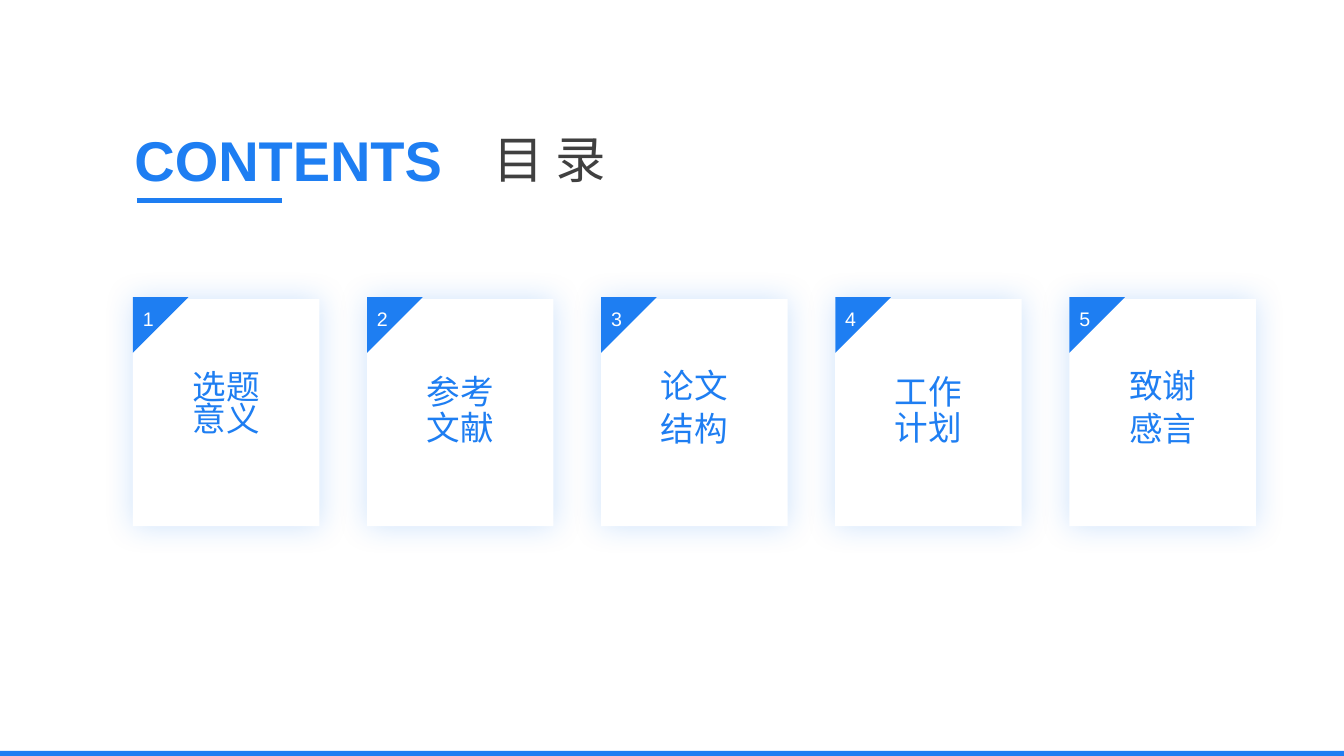
from lxml import etree
from pptx import Presentation
from pptx.dml.color import RGBColor
from pptx.enum.shapes import MSO_CONNECTOR, MSO_SHAPE
from pptx.enum.text import MSO_ANCHOR, PP_ALIGN
from pptx.oxml.ns import qn
from pptx.util import Cm, Pt

COLORS = {"blue": "1E7EF2", "white": "FFFFFF", "gray": "404040"}

# Label lines, label height (cm) and line spacing of each card
CHAPTERS = [
    (["选题意义"], 2.16, 0.8),
    (["参考文献"], 2.46, 0.9),
    (["论文", "结构"], 2.46, 0.7),
    (["工作计划"], 2.46, 0.9),
    (["致谢", "感言"], 2.46, 0.7),
]
CARD_LEFT, CARD_TOP, CARD_PITCH = 3.35, 7.54, 5.9
CARD_WIDTH, CARD_HEIGHT = 4.7, 5.72
LABEL_WIDTH = 2.85

deck = Presentation()
deck.slide_width, deck.slide_height = Cm(33.87), Cm(19.05)
slide = deck.slides.add_slide(deck.slide_layouts[6])


def add_block(preset, left, top, width, height, color):
    """Add a filled preset shape without outline or shadow; lengths in cm."""
    block = slide.shapes.add_shape(preset, Cm(left), Cm(top), Cm(width), Cm(height))
    block.shadow.inherit = False
    block.fill.solid()
    block.fill.fore_color.rgb = RGBColor.from_string(COLORS[color])
    block.line.fill.background()
    return block


def add_text(lines, left, top, width, height, size, color, spacing=1.3, before=0):
    """Add centred Arial text, one paragraph per line; lengths in cm."""
    box = slide.shapes.add_textbox(Cm(left), Cm(top), Cm(width), Cm(height))
    frame = box.text_frame
    frame.word_wrap = True
    frame.vertical_anchor = MSO_ANCHOR.MIDDLE
    frame.text = "\n".join(lines)
    for paragraph in frame.paragraphs:
        paragraph.alignment = PP_ALIGN.CENTER
        paragraph.line_spacing = spacing
        paragraph.space_before = Pt(before)
        font = paragraph.runs[0].font
        font.name, font.size = "Arial", Pt(size)
        font.color.rgb = RGBColor.from_string(COLORS[color])
    return frame


# Footer band and heading
add_block(MSO_SHAPE.RECTANGLE, 0, 18.92, 33.87, 0.13, "blue")
add_text(["目 录"], 11.76, 2.62, 4.19, 2.26, 36, "gray")
heading = add_text(["CONTENTS"], 3.05, 2.62, 8.43, 2.26, 40, "blue")
heading.paragraphs[0].runs[0].font.bold = True

underline = slide.shapes.add_connector(
    MSO_CONNECTOR.STRAIGHT, Cm(3.45), Cm(5.05), Cm(7.1), Cm(5.05))
underline.line.color.rgb = RGBColor.from_string(COLORS["blue"])
underline.line.width = Pt(3)
etree.SubElement(underline._element.spPr, qn("a:effectLst"))

# Chapter cards: glowing panel, label, numbered corner
for index, (lines, label_height, spacing) in enumerate(CHAPTERS):
    left = CARD_LEFT + index * CARD_PITCH
    card = add_block(MSO_SHAPE.RECTANGLE, left, CARD_TOP, CARD_WIDTH, CARD_HEIGHT, "white")
    effects = card._element.spPr.find(qn("a:effectLst"))
    glow = etree.SubElement(effects, qn("a:outerShdw"), blurRad=str(Pt(22)),
                            dist="0", dir="0", algn="ctr", rotWithShape="0")
    tint = etree.SubElement(glow, qn("a:srgbClr"), val=COLORS["blue"])
    etree.SubElement(tint, qn("a:alpha"), val="22000")

    add_text(lines, left + (CARD_WIDTH - LABEL_WIDTH) / 2, 9.14,
             LABEL_WIDTH, label_height, 24, "blue", spacing, before=10)

    corner = add_block(MSO_SHAPE.RIGHT_TRIANGLE, left, 7.49, 1.4, 1.4, "blue")
    corner.rotation = 90
    number = add_text([str(index + 1)], left, 7.42, 0.79, 0.97, 14, "white")
    number.word_wrap = False
    number.vertical_anchor = MSO_ANCHOR.TOP
    number.paragraphs[0].alignment = PP_ALIGN.LEFT

deck.save("out.pptx")
